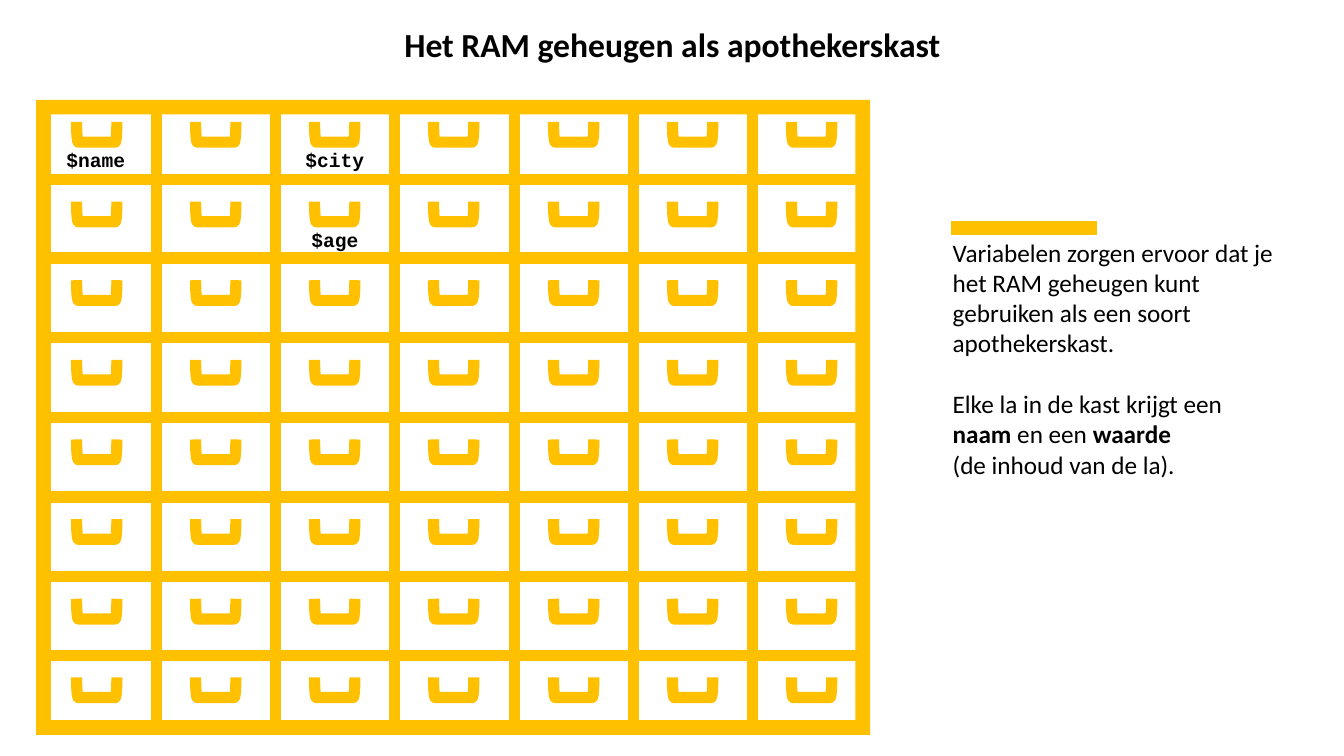
from pptx import Presentation
from pptx import util as u
from pptx.dml.color import RGBColor
from pptx.enum import shapes, text
from pptx.oxml.ns import qn
from lxml import etree

SCALE = 9144
COLORS = {"amber": "FFC000", "ink": "000000"}
ROWS, COLUMNS = 8, 7
LABELS = {(0, 0): "$name", (1, 2): "$age", (0, 2): "$city"}


def px(length):
    return u.Emu(round(length) * SCALE)


def color(name):
    return RGBColor.from_string(COLORS[name])


def add_bar(parts, start, end, weight):
    bar = parts.add_connector(
        shapes.MSO_CONNECTOR.STRAIGHT, *(px(value) for value in start + end))
    bar.line.color.rgb = color("amber")
    bar.line.width = u.Pt(weight)
    etree.SubElement(bar._element.spPr, qn("a:effectLst"))


def add_text(parts, box, paragraphs, size, font, wrap=False):
    frame = parts.add_textbox(*(px(value) for value in box)).text_frame
    frame.word_wrap = wrap
    frame.auto_size = text.MSO_AUTO_SIZE.SHAPE_TO_FIT_TEXT
    for index, spans in enumerate(paragraphs):
        para = frame.add_paragraph() if index else frame.paragraphs[0]
        for words, bold in spans:
            span = para.add_run()
            span.text = words
            span.font.size = u.Pt(size)
            span.font.name = font
            span.font.bold = bold
            span.font.color.rgb = color("ink")
    return frame


def add_handle(parts, center_x, top):
    width, height = 20, 40
    handle = parts.add_shape(
        shapes.MSO_SHAPE.LEFT_BRACKET,
        px(center_x - width / 2), px(top), px(width), px(height))
    handle.rotation = 270
    handle.shadow.inherit = False
    handle.fill.background()
    handle.line.color.rgb = color("amber")
    handle.line.width = u.Pt(8)


def add_cabinet(page, box):
    left, top, width, height = box
    parts = page.shapes.add_group_shape().shapes
    case = parts.add_shape(shapes.MSO_SHAPE.FRAME, *(px(value) for value in box))
    case.adjustments[0] = 0.023
    case.shadow.inherit = False
    case.fill.solid()
    case.fill.fore_color.rgb = color("amber")
    case.line.fill.background()

    inset = 5
    right, bottom = left + width - inset, top + height - inset
    row_step, column_step = height / ROWS, width / COLUMNS
    for row in range(1, ROWS):
        y = top + row * row_step
        add_bar(parts, (left + inset, y), (right, y), 8)
    for column in range(1, COLUMNS):
        x = left + 1 + column * column_step
        add_bar(parts, (x, top + inset), (x, bottom), 8)

    def handle_place(row, column):
        return left + 60 + column * column_step, top + 12 + row * row_step

    for row in range(ROWS):
        for column in range(COLUMNS):
            add_handle(parts, *handle_place(row, column))
    for place, name in LABELS.items():
        center, handle_top = handle_place(*place)
        label_width = 19 + 12 * len(name)
        add_text(parts, (center - label_width / 2, handle_top + 31, label_width, 34),
                 [[(name, True)]], 14, "Courier New")


def add_title(page, box):
    frame = add_text(page.shapes, box,
                     [[("Het RAM geheugen als apothekerskast", True)]], 24, "Calibri")
    frame.paragraphs[0].alignment = text.PP_ALIGN.CENTER


def add_explanation(page, box):
    left, top, width, height = box
    frame = add_text(page.shapes, box, [
        [("Variabelen zorgen ervoor dat je het RAM geheugen kunt", False)],
        [("gebruiken als een soort apothekerskast.", False)],
        [("Elke la in de kast krijgt een", False)],
        [("naam", True), (" en een ", False), ("waarde", True)],
        [("(de inhoud van de la).", False)],
    ], 18, "Calibri", wrap=True)
    frame.paragraphs[2].space_before = u.Pt(22)
    add_bar(page.shapes, (left + 8, top - 4), (left + 153, top - 4), 10)


def main():
    deck = Presentation()
    deck.slide_width, deck.slide_height = px(1333), px(750)
    page = deck.slides.add_slide(deck.slide_layouts[6])
    add_cabinet(page, (36, 99, 827, 630))
    add_title(page, (388, 19, 558, 50))
    add_explanation(page, (935, 230, 362, 252))
    deck.save("out.pptx")


if __name__ == "__main__":
    main()
